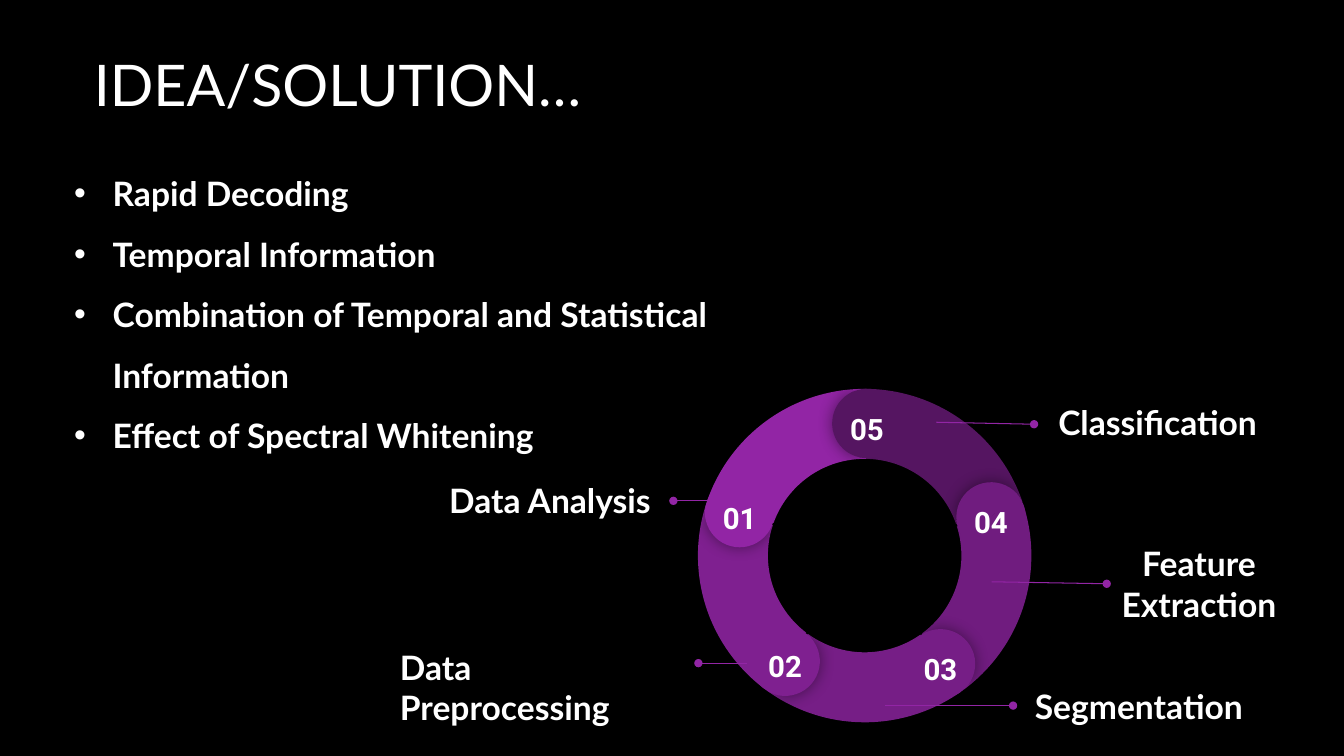
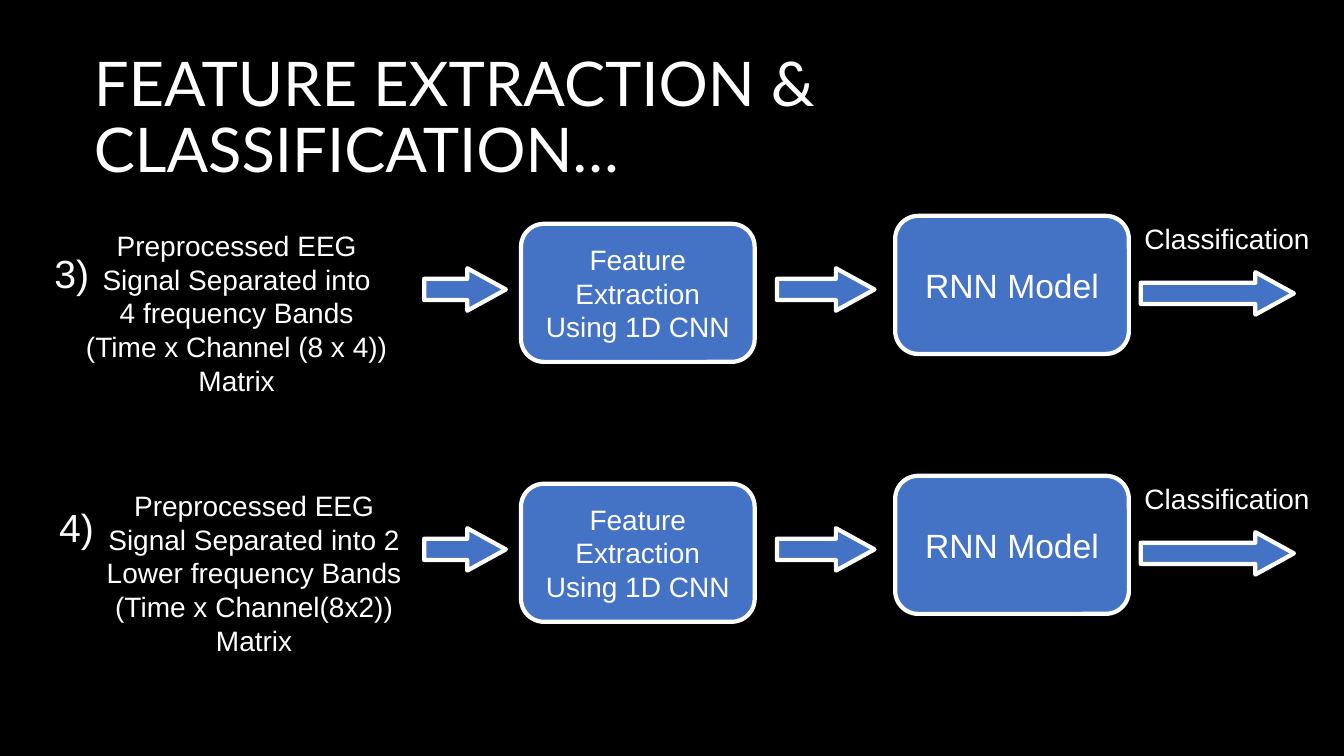
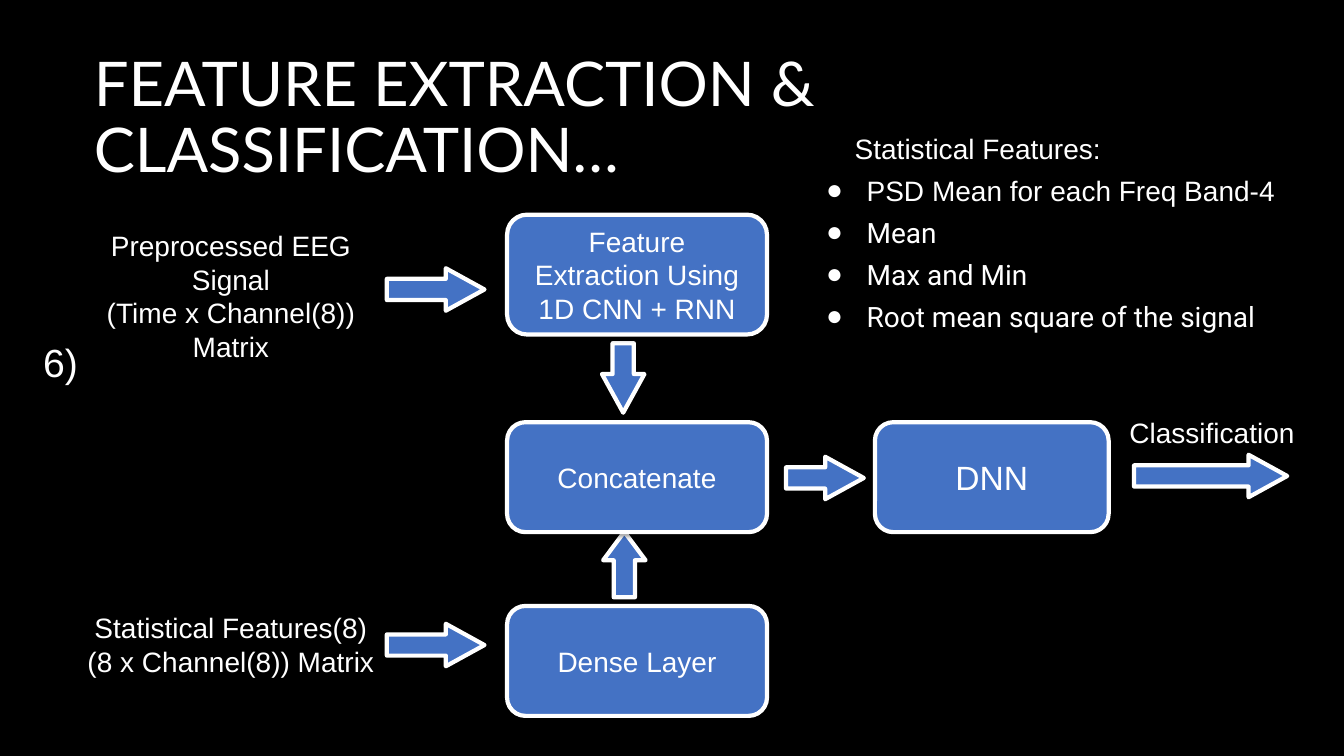
import math

import lxml.etree
import pptx
import pptx.dml.color
import pptx.enum.shapes
import pptx.enum.text
import pptx.oxml.ns
import pptx.util

Cm = pptx.util.Cm
Pt = pptx.util.Pt
SHAPE = pptx.enum.shapes.MSO_SHAPE
ALIGN = pptx.enum.text.PP_ALIGN
ANCHOR = pptx.enum.text.MSO_ANCHOR
WHITE, BLACK, BLUE, PURPLE = "FFFFFF", "000000", "4472C4", "9225A5"


def color(code):
    return pptx.dml.color.RGBColor.from_string(code)


def put(item, values):
    for name, value in values.items():
        setattr(item, name, value)


def node(parent, tag, **attrs):
    return lxml.etree.SubElement(parent, pptx.oxml.ns.qn(tag), attrs)


class Deck:
    """Hold the shared style and the current slide."""

    def __init__(self):
        self.show = pptx.Presentation()
        put(self.show, {"slide_width": Cm(33.87), "slide_height": Cm(19.05)})
        back = self.show.slide_master.background.fill
        back.solid()
        back.fore_color.rgb = color(BLACK)
        self.slide = None

    def start(self, title, size=44, top=1.17):
        self.slide = self.show.slides.add_slide(self.show.slide_layouts[5])
        head = self.slide.shapes.title
        put(head, {"left": Cm(2.11), "top": Cm(top),
                   "width": Cm(29.21), "height": Cm(3.68)})
        self.fill(head.text_frame, [title], size, "Lato", align=ALIGN.LEFT,
                  anchor=ANCHOR.MIDDLE, space=0.9)

    def fill(self, frame, lines, size, font="Arial", bold=False,
             align=ALIGN.CENTER, anchor=ANCHOR.TOP, space=1.0, wrap=True):
        put(frame, {"auto_size": pptx.enum.text.MSO_AUTO_SIZE.NONE,
                    "word_wrap": wrap, "vertical_anchor": anchor})
        for i, line in enumerate(lines):
            para = frame.paragraphs[0] if i == 0 else frame.add_paragraph()
            put(para, {"alignment": align, "line_spacing": space})
            run = para.add_run()
            run.text = line
            put(run.font, {"size": Pt(size), "name": font, "bold": bold})
            run.font.color.rgb = color(WHITE)

    def text(self, area, lines, size=20, inset=None, **style):
        box = self.slide.shapes.add_textbox(*map(Cm, area))
        frame = box.text_frame
        if inset is not None:
            put(frame, {"margin_" + side: Cm(inset)
                        for side in ("left", "top", "right", "bottom")})
        self.fill(frame, lines, size, **style)
        return frame.paragraphs

    def indent(self, para, left, hang=0, mark=None):
        props = para._p.get_or_add_pPr()
        props.set("marL", str(Cm(left)))
        props.set("indent", str(-Cm(hang)))
        if mark:
            node(node(props, "a:buClr"), "a:srgbClr", val=WHITE)
            node(props, "a:buFont", typeface="Arial")
            node(props, "a:buChar", char=mark)

    def shape(self, kind, area, fill, turn=0, adjust=()):
        item = self.slide.shapes.add_shape(kind, *map(Cm, area))
        item.shadow.inherit = False
        item.rotation = turn % 360
        for i, value in enumerate(adjust):
            item.adjustments[i] = value
        item.fill.solid()
        item.fill.fore_color.rgb = color(fill)
        item.line.fill.background()
        return item

    def shade(self, item, alpha, blur, dist):
        effect = item._element.spPr.find(pptx.oxml.ns.qn("a:effectLst"))
        outer = node(effect, "a:outerShdw", blurRad=str(Pt(blur)),
                     dist=str(Pt(dist)), dir="5400000", rotWithShape="0")
        tone = node(outer, "a:srgbClr", val=BLACK)
        node(tone, "a:alpha", val=str(alpha * 1000))

    def block(self, kind, area, **look):
        item = self.shape(kind, area, BLUE, **look)
        item.line.color.rgb = color(WHITE)
        item.line.width = Pt(3)
        self.shade(item, 38, 3.1, 1.6)
        return item

    def box(self, area, label, size=20):
        item = self.block(SHAPE.ROUNDED_RECTANGLE, area)
        self.fill(item.text_frame, [label], size, anchor=ANCHOR.MIDDLE)

    def arrow(self, left, top, width, turn=0, tip=0.91):
        self.block(SHAPE.RIGHT_ARROW, (left, top, width, 1.07),
                   turn=turn, adjust=(0.5, tip))

    def result(self, left, top):
        self.text((left, top, 4.95, 1.12), ["Classification"])

    def number(self, left, top, label):
        self.text((left, top, 1.7, 1.45), [label], 28, align=ALIGN.LEFT)

    def lead(self, *ends):
        line = self.slide.shapes.add_connector(
            pptx.enum.shapes.MSO_CONNECTOR.STRAIGHT, *map(Cm, ends))
        line.line.color.rgb = color(PURPLE)
        line.line.width = Pt(0.75)
        node(line.line._get_or_add_ln(), "a:tailEnd", type="oval")
        node(line._element.spPr, "a:effectLst")

    def ring(self, x, y, tones):
        size, reach, cap = 8.4, 3.33, 1.75
        for i, tone in enumerate(tones):
            self.shape(SHAPE.BLOCK_ARC, (x - size / 2, y - size / 2, size, size),
                       tone, 60 + 72.4 * i, (126.03, 168.68, 0.21))
        for i, tone in enumerate(tones):
            angle = math.radians(72 * i - 89)
            cx, cy = x + reach * math.cos(angle), y + reach * math.sin(angle)
            area = (cx - cap / 2, cy - cap / 2, cap, cap)
            turn = 72 * i - 2.9
            half = self.shape(SHAPE.PIE, area, tone, turn, (61.9, 149.96))
            self.shade(half, 43, 11.2, 0)
            self.shape(SHAPE.PIE, area, tone, turn + 179.3, (40.28, 171.84))
            self.text((cx - 0.76, cy - 0.65, 1.52, 0.81), [f"{len(tones) - i:02}"],
                      21, 0.33, font="Roboto", bold=True, wrap=False)


def idea(deck):
    deck.start("IDEA/SOLUTION…", 41, 0.38)
    deck.ring(21.79, 14, ["551561", "701C7F", "761E86", "7F2090", PURPLE])
    for ends in [(18.82, 12.62, 16.97, 12.62), (18.82, 16.71, 17.6, 16.71),
                 (23.6, 10.64, 26.06, 10.69), (22.3, 17.78, 25.53, 17.78),
                 (24.99, 14.66, 27.89, 14.71)]:
        deck.lead(*ends)
    style = {"size": 24, "font": "Lato", "bold": True, "align": ALIGN.LEFT}
    for left, top, width, label in [(11.07, 11.84, 6.1, "Data Analysis"),
                                    (9.83, 16.05, 7.4, "Data Preprocessing"),
                                    (25.83, 17.04, 6.1, "Segmentation"),
                                    (26.42, 9.88, 6.1, "Classification")]:
        deck.text((left, top, width, 1.55), [label], inset=0.25, **style)
    deck.text((27.89, 13.44, 4.65, 2.57), ["Feature", "Extraction"], inset=0.25,
              **{**style, "align": ALIGN.CENTER})
    points = ["Rapid Decoding", "Temporal Information",
              "Combination of Temporal and Statistical Information",
              "Effect of Spectral Whitening"]
    for para in deck.text((1.32, 3.73, 16.76, 7.95), points, space=1.5, **style):
        deck.indent(para, 1.27, 0.97, "•")


def bands(deck):
    deck.start("FEATURE EXTRACTION & CLASSIFICATION…")
    rows = [("3)", 1.12, 6.17, 1.85, 8.23,
             ["Preprocessed EEG Signal Separated into", "4 frequency Bands",
              "(Time x Channel (8 x 4)) Matrix"]),
            ("4)", 1.24, 12.57, 2.11, 8.59,
             ["Preprocessed EEG Signal Separated into 2 Lower frequency Bands",
              "(Time x Channel(8x2)) Matrix"])]
    for i, (label, x, y, left, width, lines) in enumerate(rows):
        top = 5.64 + 6.55 * i
        deck.number(x, y, label)
        deck.text((left, top, width, 4.52), lines)
        deck.arrow(10.69, top + 1.12, 2.06)
        deck.box((13.13, top, 5.89, 3.48), "Feature Extraction Using 1D CNN")
        deck.arrow(19.58, top + 1.12, 2.46)
        deck.box((22.56, top - 0.2, 5.89, 3.48), "RNN Model", 24)
        deck.arrow(28.75, top + 1.22, 3.86)
        deck.result(28.45, top - 0.18)


def merge(deck):
    deck.start("FEATURE EXTRACTION & CLASSIFICATION…")
    deck.number(0.84, 8.41, "6)")
    deck.text((1.83, 5.64, 7.98, 3.68),
              ["Preprocessed EEG Signal", "(Time x Channel(8)) Matrix"])
    deck.text((1.83, 15.27, 7.98, 1.96),
              ["Statistical Features(8)", "(8 x Channel(8)) Matrix"])
    for place in [(9.75, 6.76, 2.46), (9.75, 15.72, 2.46), (19.81, 11.51, 1.96),
                  (28.58, 11.46, 3.86), (14.83, 8.99, 1.75, 90),
                  (14.91, 13.69, 1.65, 270, 0.67)]:
        deck.arrow(*place)
    for top, height, label in [(5.41, 3.02, "Feature Extraction Using 1D CNN + RNN"),
                               (10.64, 2.77, "Concatenate"),
                               (15.27, 2.77, "Dense Layer")]:
        deck.box((12.78, top, 6.55, height), label)
    deck.box((22.05, 10.64, 5.89, 2.77), "DNN", 24)
    deck.result(28.07, 10.34)
    head, *items = deck.text(
        (20.32, 3.18, 12.12, 7.04),
        ["Statistical Features:", "PSD Mean for each Freq Band-4", "Mean",
         "Max and Min", "Root mean square of the signal"], align=ALIGN.LEFT)
    deck.indent(head, 0.97)
    for para in items:
        para.space_before = Pt(6)
        deck.indent(para, 1.27, 1.02, "●")
    for para in items[1:]:
        para.runs[0].font.name = "Roboto"


def main():
    deck = Deck()
    for build in (idea, bands, merge):
        build(deck)
    deck.show.save("out.pptx")


if __name__ == "__main__":
    main()
